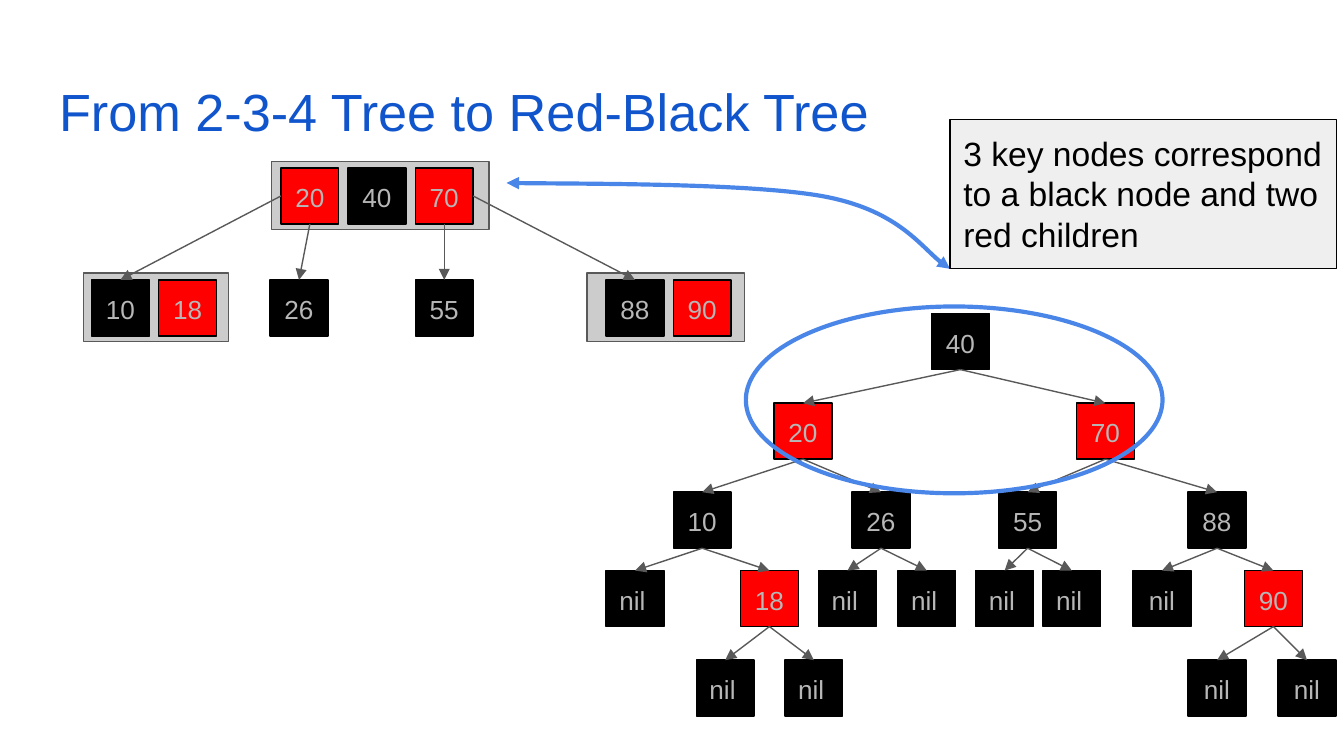
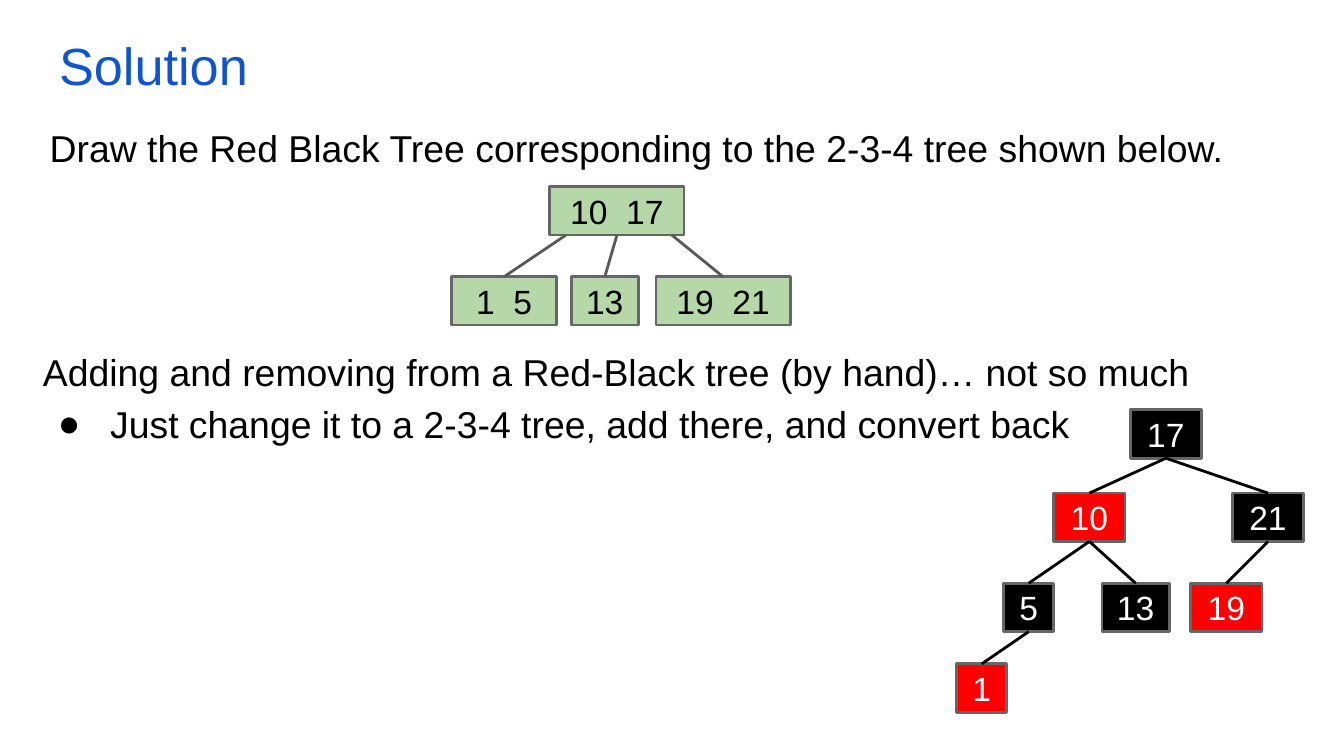
from lxml.etree import SubElement
from pptx import Presentation
from pptx.dml.color import RGBColor
from pptx.enum.shapes import MSO_CONNECTOR as Connector, MSO_SHAPE as Shape
from pptx.enum.text import MSO_ANCHOR as Anchor, MSO_AUTO_SIZE as AutoSize, PP_ALIGN as Align
from pptx.oxml.ns import qn
from pptx.util import Pt

FONT = "Arial"
BLACK, WHITE, RED, GREEN = "000000", "FFFFFF", "FF0000", "B6D7A8"
TITLE_BLUE, ARROW_BLUE = "1155CC", "4A86E8"
KEY_GREY, GROUP_GREY, CALLOUT_GREY = "B7B7B7", "CCCCCC", "EFEFEF"
DARK_GREY, EDGE_GREY = "595959", "666666"
TOP, LEFT, BOTTOM, RIGHT = range(4)
color = RGBColor.from_string


def write(shape, text, size=14, ink=BLACK, align=Align.LEFT, anchor=Anchor.TOP,
          spacing=1.0, after=0, left=0, indent=0, bullet=None, gap=0):
    """Add a paragraph; gap widens its first space, in points."""
    frame = shape.text_frame
    frame.word_wrap, frame.auto_size, frame.vertical_anchor = True, AutoSize.NONE, anchor
    frame.margin_left = frame.margin_right = frame.margin_top = frame.margin_bottom = Pt(7.2)
    paragraph = frame.paragraphs[0]
    if paragraph.text:
        paragraph = frame.add_paragraph()
    properties = paragraph._p.get_or_add_pPr()
    properties.set("marL", str(Pt(left)))
    properties.set("indent", str(Pt(indent)))
    if bullet:
        SubElement(properties, qn("a:buChar")).set("char", bullet)
    else:
        SubElement(properties, qn("a:buNone"))
    paragraph.alignment, paragraph.line_spacing = align, spacing
    paragraph.space_before, paragraph.space_after = Pt(0), Pt(after)
    for part in text.partition(" ") if gap else [text]:
        if part:
            run = paragraph.add_run()
            run.text = part
            run.font.name, run.font.size = FONT, Pt(size)
            run.font.color.rgb = color(ink)
            if part == " ":
                run._r.get_or_add_rPr().set("spc", str(gap * 100))


def add_box(slide, x, y, width, height, fill=None, edge=BLACK, weight=0.75,
            kind=Shape.RECTANGLE, text="", **text_format):
    box = slide.shapes.add_shape(kind, Pt(x), Pt(y), Pt(width), Pt(height))
    box.shadow.inherit = False
    if fill:
        box.fill.solid()
        box.fill.fore_color.rgb = color(fill)
    else:
        box.fill.background()
    box.line.color.rgb, box.line.width = color(edge), Pt(weight)
    if text:
        write(box, text, **text_format)
    return box


presentation = Presentation()
presentation.slide_width, presentation.slide_height = Pt(720), Pt(405)
layouts = presentation.slide_layouts
conversion = presentation.slides.add_slide(layouts[5])
solution = presentation.slides.add_slide(layouts[3])

for slide, heading, y in [(conversion, "From 2-3-4 Tree to Red-Black Tree", 35.3),
                          (solution, "Solution", 10.8)]:
    title = slide.shapes.title
    title.left, title.top, title.width, title.height = Pt(24.5), Pt(y), Pt(671), Pt(45.4)
    write(title, heading, size=28, ink=TITLE_BLUE)

question, advice = solution.placeholders[1], solution.placeholders[2]
for body, x, y, width, height in [(question, 19.4, 56.2, 664.6, 49.7),
                                  (advice, 15.8, 176.4, 679.7, 36)]:
    body.left, body.top, body.width, body.height = Pt(x), Pt(y), Pt(width), Pt(height)
write(question, "Draw the Red Black Tree corresponding to the 2-3-4 tree shown below.",
      size=20, spacing=1.15, after=16, indent=-5.8)
write(advice, "Adding and removing from a Red-Black tree (by hand)… not so much",
      size=20, spacing=1.15)
write(advice, "Just change it to a 2-3-4 tree, add there, and convert back",
      size=20, spacing=1.15, left=36, indent=-28, bullet="●")

# Slide 1: the 2-3-4 tree, its keys coloured as in the red-black tree
for x, y, width in [(44.6, 146.2, 77.8), (145.4, 86.4, 116.6), (314.6, 146.2, 84.2)]:
    add_box(conversion, x, y, width, 36.7, GROUP_GREY, DARK_GREY)

red_keys = ["18", "20", "70", "90"]
key_rows = {90: [("20", 150.5), ("40", 186.5), ("70", 222.5)],
            150: [("10", 49), ("18", 85), ("26", 144.7), ("55", 222.5),
                  ("88", 324.7), ("90", 360.7)]}
keys = {}
for y, row in key_rows.items():
    for label, x in row:
        keys[label] = add_box(conversion, x, y, 31, 30, RED if label in red_keys else BLACK,
                              text=label, ink=KEY_GREY, align=Align.CENTER)
# Links: parent, its side, child
arrows = [(keys[parent], side, keys[child]) for parent, side, child in
          [("20", LEFT, "10"), ("20", BOTTOM, "26"), ("70", BOTTOM, "55"), ("70", RIGHT, "88")]]

# Slide 1: the red-black tree, each node with its x and parent
node_rows = {
    168: [("40", 499, None)],
    216: [("20", 414.7, "40"), ("70", 576.7, "40")],
    263.7: [("10", 360.7, "20"), ("26", 456.5, "20"), ("55", 535, "70"), ("88", 636.5, "70")],
    305.7: [("nil", 324.7, "10"), ("18", 396.7, "10"), ("nil", 438.5, "26"), ("nil", 481, "26"),
            ("nil", 522.7, "55"), ("nil", 558.7, "55"), ("nil", 607, "88"), ("90", 666.7, "88")],
    353.7: [("nil", 373, "18"), ("nil", 420.5, "18"), ("nil", 636.5, "90"), ("nil", 684.7, "90")],
}
nodes = {}
for y, row in node_rows.items():
    for label, x, parent in row:
        left_aligned = label == "nil" and parent not in ("88", "90")
        node = add_box(conversion, x, y, 31, 30, RED if label in red_keys else BLACK, text=label,
                       ink=KEY_GREY, align=Align.LEFT if left_aligned else Align.CENTER)
        nodes[label] = node
        if parent:
            arrows.append((nodes[parent], BOTTOM, node))

# Slide 2: the 2-3-4 tree, whose outer edges start away from the middle of the root
tree_text = {"size": 18, "align": Align.CENTER, "anchor": Anchor.MIDDLE}
root = add_box(solution, 294.5, 100.1, 72, 25.9, GREEN, EDGE_GREY, 1.5,
               text="10 17", gap=5, **tree_text)
edges = []
for label, x, width, start_x in [("1 5", 241.9, 56.2, 303.1), ("13", 306, 36, None),
                                 ("19 21", 351.4, 72, 360)]:
    child = add_box(solution, x, 148.3, width, 25.9, GREEN, EDGE_GREY, 1.5,
                    text=label, gap=5, **tree_text)
    edges.append((root, start_x, child, DARK_GREY))

# Slide 2: the red-black tree
answer = {}
for label, x, y, width, fill, parent in [
        ("17", 605.5, 219.6, 38.2, BLACK, None), ("10", 564.5, 264.2, 38.2, RED, "17"),
        ("21", 660.2, 264.2, 38.2, BLACK, "17"), ("5", 537.8, 312.5, 26.6, BLACK, "10"),
        ("13", 590.4, 312.5, 36, BLACK, "10"), ("19", 637.9, 312.5, 38.2, RED, "21"),
        ("1", 512.6, 355.7, 26.6, RED, "5")]:
    answer[label] = add_box(solution, x, y, width, 25.9, fill, EDGE_GREY, 1.5,
                            text=label, ink=WHITE, **tree_text)
    if parent:
        edges.append((answer[parent], None, answer[label], BLACK))

links = [(conversion, parent, side, None, child, DARK_GREY, 0.75)
         for parent, side, child in arrows]
links += [(solution, parent, BOTTOM, start_x, child, ink, 1.5)
          for parent, start_x, child, ink in edges]
for slide, parent, side, start_x, child, ink, weight in links:
    link = slide.shapes.add_connector(Connector.STRAIGHT, Pt(start_x or 0),
                                      parent.top + parent.height, child.left, child.top)
    if start_x is None:
        link.begin_connect(parent, side)
    link.end_connect(child, TOP)
    link.line.color.rgb, link.line.width = color(ink), Pt(weight)
    properties = link._element.spPr
    if slide is conversion:
        SubElement(properties.get_or_add_ln(), qn("a:tailEnd")).set("type", "triangle")
    SubElement(properties, qn("a:effectLst"))

# Slide 1: the callout, its curved arrow and the ring round the three nodes
curve_points = [(299.5, 98.6), (401, 98), (440.6, 105.1), (480.2, 112.3), (497.5, 137.5), (509, 144)]
builder = conversion.shapes.build_freeform(Pt(271.4), Pt(98))
builder.add_line_segments([(Pt(x), Pt(y)) for x, y in curve_points], close=False)
curve = builder.convert_to_shape()
curve.shadow.inherit = False
curve.fill.background()
curve.line.color.rgb, curve.line.width = color(ARROW_BLUE), Pt(2.25)
for end in ("a:headEnd", "a:tailEnd"):
    SubElement(curve._element.spPr.get_or_add_ln(), qn(end)).set("type", "triangle")
outline = curve._element.xpath(".//a:path")[0]
segments = outline.findall(qn("a:lnTo"))
for first in (0, 3):
    bezier = SubElement(outline, qn("a:cubicBezTo"))
    for segment in segments[first:first + 3]:
        bezier.append(segment[0])
        outline.remove(segment)

add_box(conversion, 399.6, 164.2, 223.2, 100.1, None, ARROW_BLUE, 2.25, Shape.OVAL)
add_box(conversion, 509, 64.1, 207, 79.9, CALLOUT_GREY, size=18,
        text="3 key nodes correspond to a black node and two red children")

presentation.save("out.pptx")
